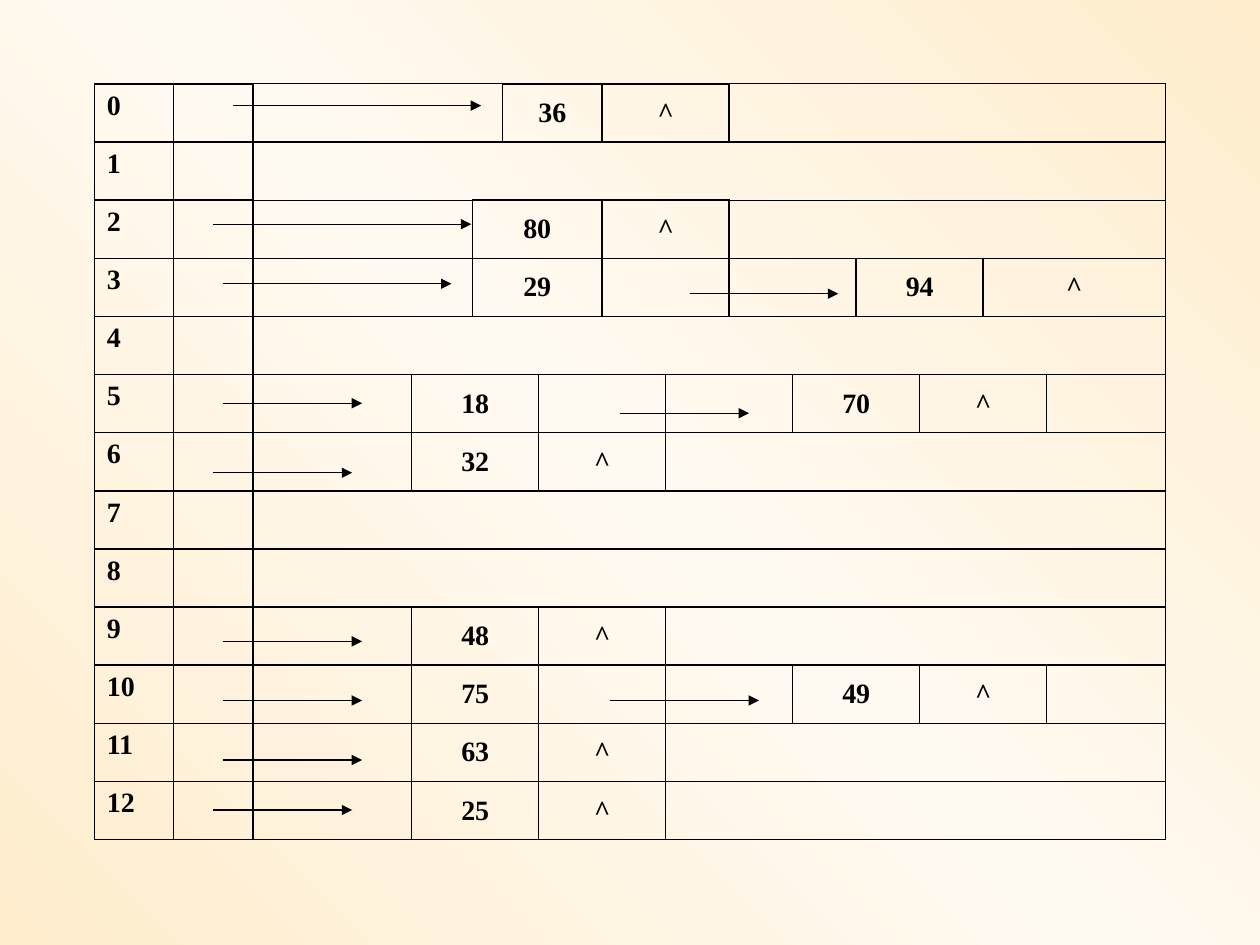
from copy import deepcopy
from dataclasses import dataclass

from lxml import etree
from pptx import Presentation
from pptx.dml.color import RGBColor
from pptx.enum.shapes import MSO_CONNECTOR
from pptx.enum.text import MSO_ANCHOR, PP_ALIGN
from pptx.oxml.ns import qn
from pptx.util import Cm, Pt

STRAIGHT = MSO_CONNECTOR.STRAIGHT
MIDDLE = MSO_ANCHOR.MIDDLE
CENTER = PP_ALIGN.CENTER
LEFT = PP_ALIGN.LEFT

BLACK = RGBColor(0x00, 0x00, 0x00)
CREAM = RGBColor(0xFF, 0xED, 0xCD)
IVORY = RGBColor(0xFF, 0xFA, 0xF1)
FONT = "Times New Roman"
THIN, THICK = Pt(0.75), Pt(1)

COLUMN_WIDTHS = [1.6, 1.6, 3.2, 1.22, 0.61, 0.73] + [1.28] * 8 + [2.39]


@dataclass(frozen=True)
class Span:
    columns: int
    text: str = ""
    blank: bool = False  # area outside the list nodes, with thinner borders
    right: int = THIN


@dataclass(frozen=True)
class Arrow:
    start: float
    end: float
    y: float


# Every bucket's cells to the right of its number and pointer
EMPTY = [Span(13, blank=True)]
NULL = Span(2, "^")
LINK = Span(2)
REST = Span(6, blank=True)


def lead(columns: int) -> Span:
    return Span(columns, blank=True, right=THICK)


def single(key: str) -> list[Span]:
    return [Span(1), Span(3, key), NULL, Span(7, blank=True)]


def double(first: str, second: str) -> list[Span]:
    return [Span(1), Span(3, first), LINK, Span(2), Span(2, second), NULL,
            Span(1, blank=True)]


BUCKETS = [
    [lead(3), Span(2, "36"), NULL, REST],
    EMPTY,
    [lead(2), Span(3, "80"), NULL, REST],
    [lead(2), Span(3, "29"), LINK, lead(2), Span(2, "94"), NULL],
    EMPTY,
    double("18", "70"),
    single("32"),
    EMPTY,
    EMPTY,
    single("48"),
    double("75", "49"),
    single("63"),
    single("25"),
]

ARROWS = [
    Arrow(4.7, 9.7, 2.13),
    Arrow(4.3, 9.5, 4.52),
    Arrow(4.5, 9.1, 5.72),
    Arrow(13.9, 16.9, 5.92),
    Arrow(4.5, 7.3, 8.13),
    Arrow(12.5, 15.1, 8.33),
    Arrow(4.3, 7.1, 9.53),
    Arrow(4.5, 7.3, 12.93),
    Arrow(4.5, 7.3, 14.12),
    Arrow(4.5, 7.3, 15.32),
    Arrow(4.3, 7.1, 16.33),
    Arrow(12.3, 15.3, 14.12),
]


def paint_background(page) -> None:
    fill = page.background.fill
    fill.gradient()
    fill.gradient_angle = 45
    stop_list = page.element.find(".//" + qn("a:gsLst"))
    stop_list.append(deepcopy(stop_list[0]))
    colors = (CREAM, IVORY, CREAM)
    for index, (stop, color) in enumerate(zip(fill.gradient_stops, colors)):
        stop.position = index / 2
        stop.color.rgb = color


def set_borders(cell, span: Span) -> None:
    properties = cell._tc.get_or_add_tcPr()
    edge = THIN if span.blank else THICK
    right = span.right if span.blank else THICK
    widths = {"lnL": THICK, "lnR": right, "lnT": edge, "lnB": edge}
    for side, width in widths.items():
        line = etree.SubElement(properties, qn(f"a:{side}"), w=str(width))
        solid = etree.SubElement(line, qn("a:solidFill"))
        etree.SubElement(solid, qn("a:srgbClr"), val=str(BLACK))


def write_cell(cell, text: str, align) -> None:
    cell.text = text
    paragraph = cell.text_frame.paragraphs[0]
    paragraph.alignment = align
    font = paragraph.font
    font.name, font.size, font.bold = FONT, Pt(16), True
    font.color.rgb = BLACK


def fill_row(table, row: int, spans: list[Span]) -> None:
    column = 0
    for span in spans:
        last = column + span.columns - 1
        for index in range(column, last + 1):
            part = table.cell(row, index)
            set_borders(part, span)
            part.fill.background()
        cell = table.cell(row, column)
        if last > column:
            cell.merge(table.cell(row, last))
        if column == 0:
            write_cell(cell, span.text, LEFT)
        elif span.text:
            write_cell(cell, span.text, CENTER)
            cell.vertical_anchor = MIDDLE
        column = last + 1


def draw_table(page) -> None:
    frame = page.shapes.add_table(
        len(BUCKETS), len(COLUMN_WIDTHS),
        Cm(1.9), Cm(1.69), Cm(21.59), Cm(15.24))
    table = frame.table
    table.first_row = False
    table.horz_banding = False
    for column, width in zip(table.columns, COLUMN_WIDTHS):
        column.width = Cm(width)
    for row, chain in enumerate(BUCKETS):
        fill_row(table, row, [Span(1, str(row)), Span(1), *chain])


def draw_arrow(page, arrow: Arrow) -> None:
    connector = page.shapes.add_connector(
        STRAIGHT, Cm(arrow.start), Cm(arrow.y), Cm(arrow.end), Cm(arrow.y))
    connector.line.color.rgb = BLACK
    connector.line.width = THIN
    line = connector.line._get_or_add_ln()
    etree.SubElement(line, qn("a:tailEnd"), type="triangle")
    etree.SubElement(connector._element.spPr, qn("a:effectLst"))


def main() -> None:
    deck = Presentation()
    deck.slide_width, deck.slide_height = Cm(25.4), Cm(19.05)
    page = deck.slides.add_slide(deck.slide_layouts[6])
    paint_background(page)

    # Hash table with its chains
    draw_table(page)

    # Pointers to the nodes
    for arrow in ARROWS:
        draw_arrow(page, arrow)

    deck.save("out.pptx")


if __name__ == "__main__":
    main()
